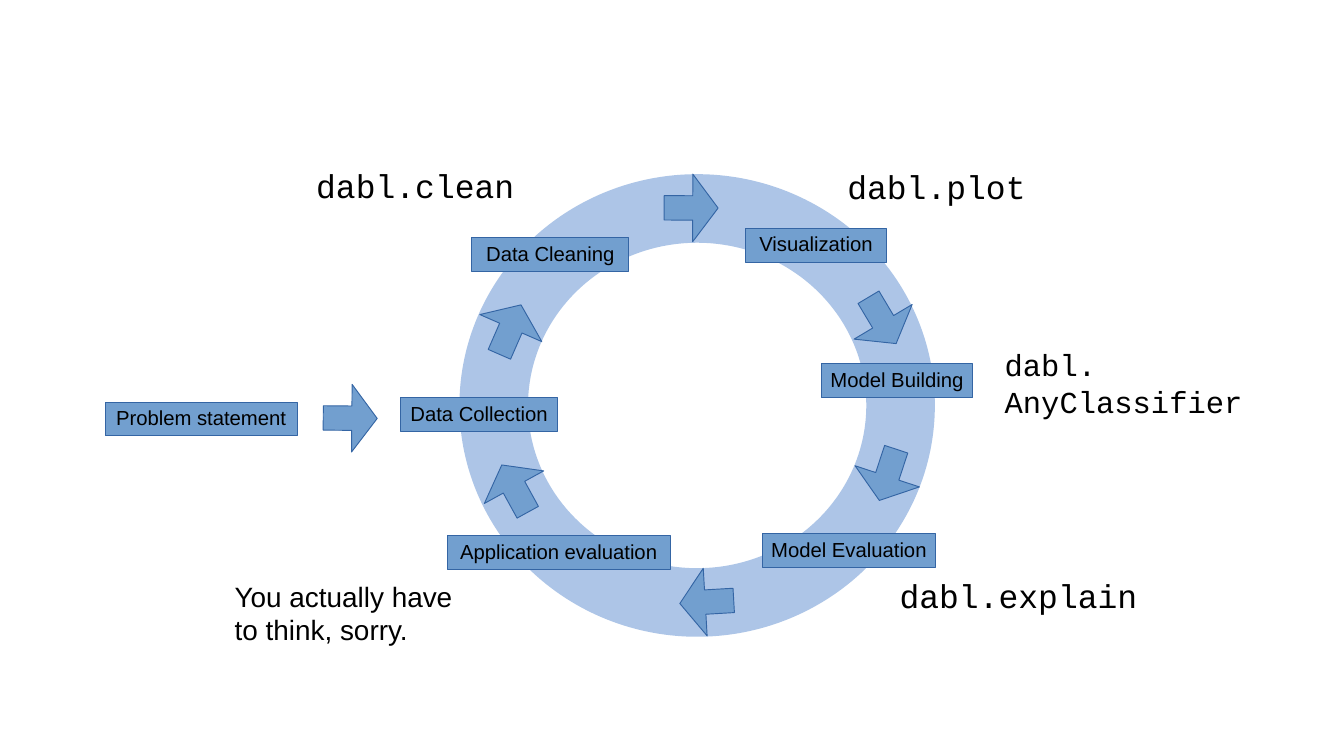
"""Build the slide showing the machine learning cycle and its dabl helpers."""
from pptx import Presentation
from pptx import util as u
from pptx.dml.color import RGBColor
from pptx.enum import shapes, text

BLACK = RGBColor(0x00, 0x00, 0x00)
BLUE = RGBColor(0x72, 0x9F, 0xCF)
OUTLINE = RGBColor(0x34, 0x65, 0xA4)
RING = RGBColor(0xAD, 0xC5, 0xE7)

SLIDE_SIZE = (1058.4, 595.44)
RING_BOX = (388.8, 164.2, 320.4, 310.3)
STEP_HEIGHT = 26.6
ARROW_LENGTH, ARROW_WIDTH = 42.5, 53.3

# text, font, size, (left, top, width, height)
NOTES = [
    ("dabl.clean", "Courier New", 26, (241.9, 126.7, 171.4, 31)),
    ("dabl.plot", "Courier New", 26, (660.2, 127.4, 185, 54.7)),
    ("dabl.\vAnyClassifier", "Courier New", 24, (784.1, 269.3, 234.7, 84.2)),
    ("dabl.explain", "Courier New", 26, (701.3, 450, 224.6, 58.3)),
    ("You actually have to think, sorry.", "Arial", 22, (177.8, 452.9, 208.8, 67.7)),
]
# text, left, top, width
STEPS = [
    ("Data Collection", 315.4, 313.2, 123.8),
    ("Data Cleaning", 371.5, 187.2, 123.8),
    ("Visualization", 586.8, 180, 111.6),
    ("Model Building", 646.6, 286.6, 119.5),
    ("Application evaluation", 352.1, 421.9, 175.7),
    ("Model Evaluation", 600.5, 420.5, 136.1),
]
START = ("Problem statement", 82.8, 316.8, 151.2)
# centre x, centre y, clockwise turn from pointing right
ARROWS = [
    (401.8, 259.6, 293.6),
    (544.3, 163.8, 0.2),
    (556.6, 474.1, 176.7),
    (694.8, 252.4, 59.2),
    (405.4, 384.8, 241.2),
    (275.8, 329.4, 0.5),
    (699.1, 374, 108.2),
]


def points(values):
    return [u.Pt(value) for value in values]


def set_font(paragraph, name, size):
    paragraph.font.name = name
    paragraph.font.size = u.Pt(size)
    paragraph.font.color.rgb = BLACK


def add_note(slide, words, font, size, box):
    frame = slide.shapes.add_textbox(*points(box)).text_frame
    frame.word_wrap = True
    frame.text = words
    set_font(frame.paragraphs[0], font, size)


def add_blue_shape(parent, kind, box):
    shape = parent.shapes.add_shape(kind, *points(box))
    shape.shadow.inherit = False
    shape.fill.solid()
    shape.fill.fore_color.rgb = BLUE
    shape.line.color.rgb = OUTLINE
    shape.line.width = u.Pt(0.75)
    return shape


def add_step(parent, words, left, top, width):
    box = (left, top, width, STEP_HEIGHT)
    frame = add_blue_shape(parent, shapes.MSO_SHAPE.RECTANGLE, box).text_frame
    frame.word_wrap = False
    frame.vertical_anchor = text.MSO_ANCHOR.MIDDLE
    frame.text = words
    paragraph = frame.paragraphs[0]
    paragraph.alignment = text.PP_ALIGN.CENTER
    paragraph.line_spacing = 0.9
    paragraph.space_after = u.Pt(6)
    set_font(paragraph, "Arial", 16)


def add_arrow(parent, x, y, turn):
    box = (x - ARROW_LENGTH / 2, y - ARROW_WIDTH / 2, ARROW_LENGTH, ARROW_WIDTH)
    arrow = add_blue_shape(parent, shapes.MSO_SHAPE.RIGHT_ARROW, box)
    arrow.adjustments[0] = 0.36
    arrow.adjustments[1] = 0.47
    arrow.rotation = turn


def add_ring(parent):
    ring = parent.shapes.add_shape(shapes.MSO_SHAPE.OVAL, *points(RING_BOX))
    ring.shadow.inherit = False
    ring.fill.background()
    ring.line.color.rgb = RING
    ring.line.width = u.Pt(54)


def main():
    presentation = Presentation()
    presentation.slide_width, presentation.slide_height = points(SLIDE_SIZE)
    slide = presentation.slides.add_slide(presentation.slide_layouts[6])
    for note in NOTES:
        add_note(slide, *note)
    cycle = slide.shapes.add_group_shape()
    add_ring(cycle)
    for step in STEPS:
        add_step(cycle, *step)
    for arrow in ARROWS:
        add_arrow(cycle, *arrow)
    add_step(slide, *START)
    presentation.save("out.pptx")


if __name__ == "__main__":
    main()
